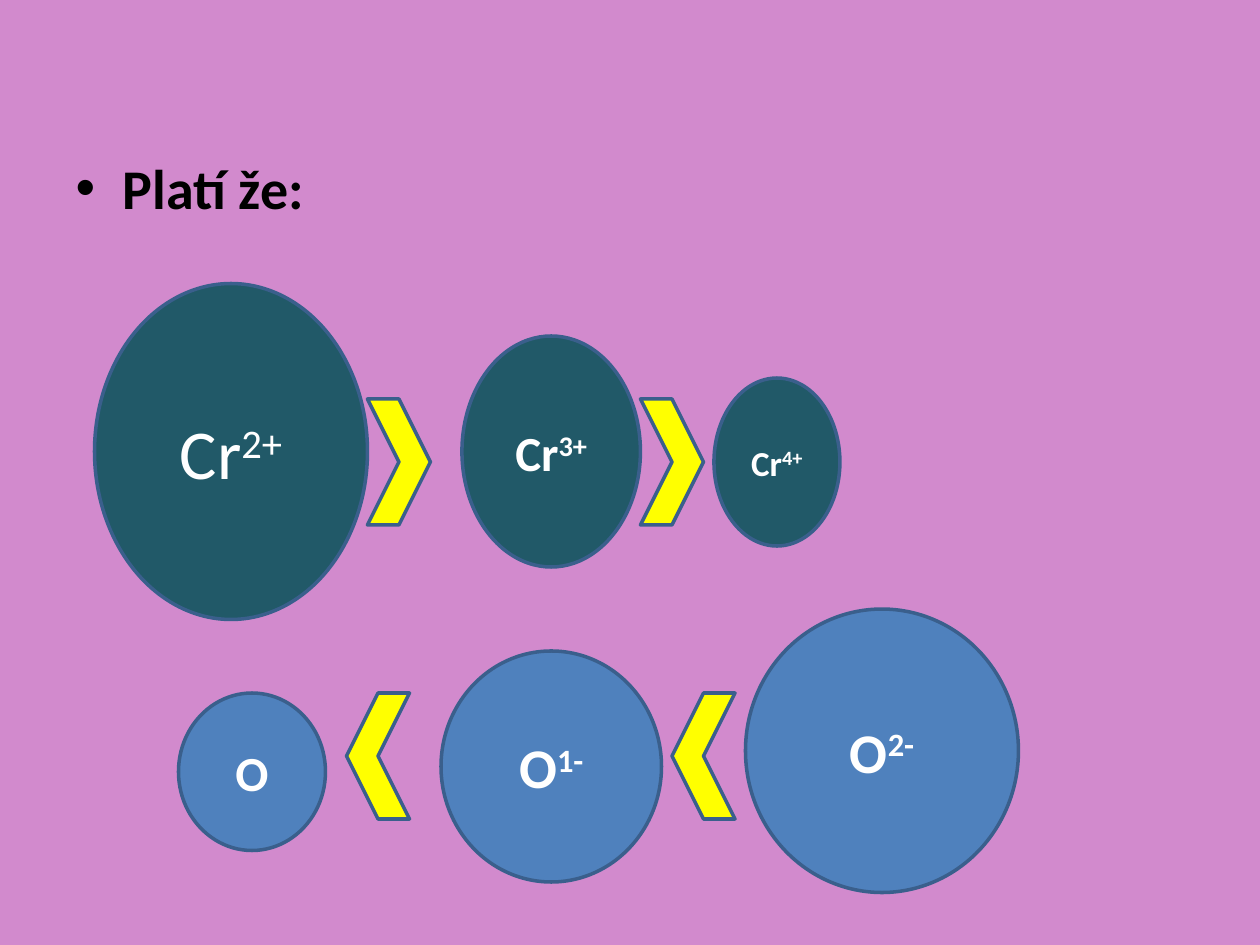
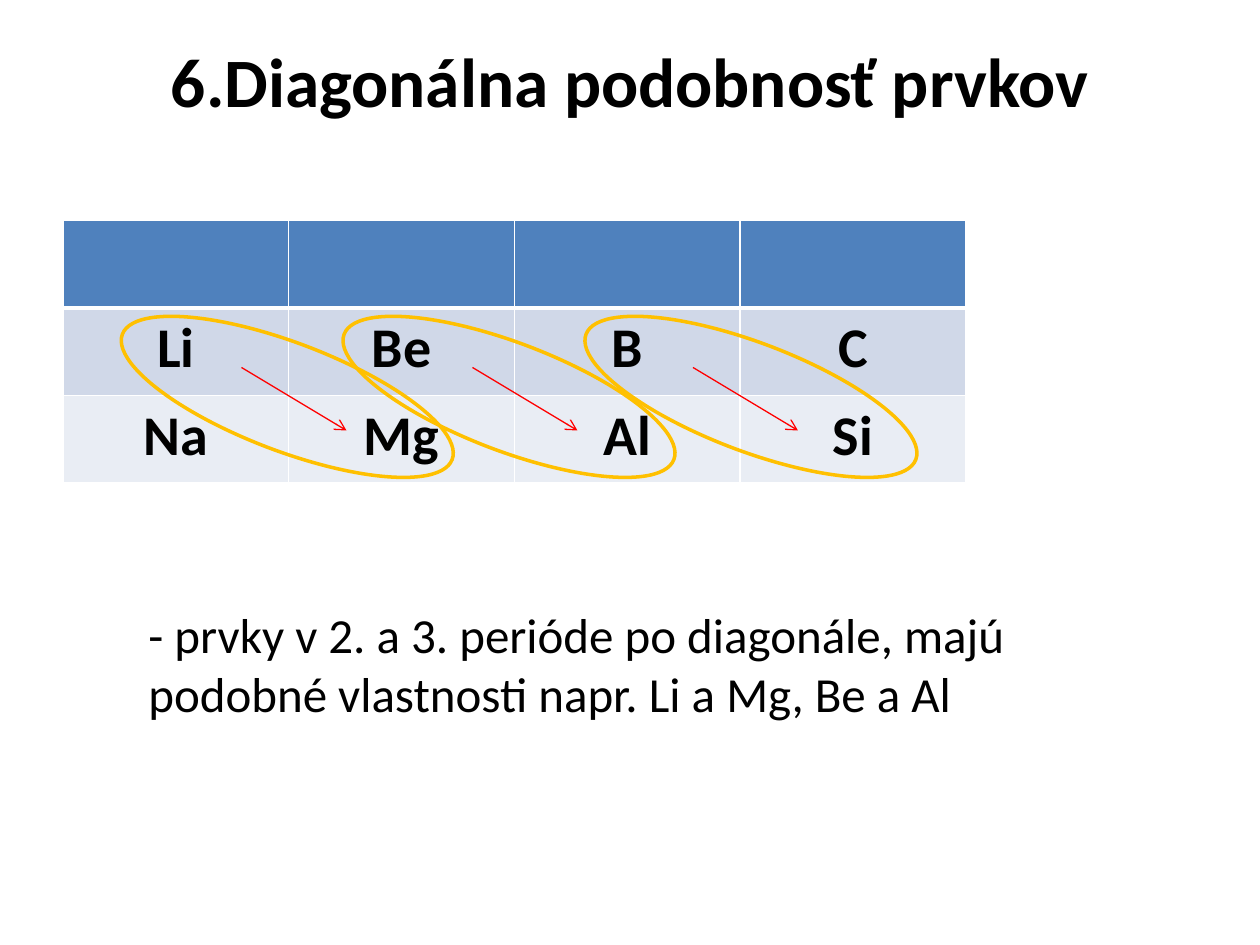
"""Build two chemistry slides: ion sizes and diagonal similarity of elements."""
from lxml.etree import SubElement
from pptx import Presentation
from pptx.dml.color import RGBColor
from pptx.enum.shapes import MSO_CONNECTOR, MSO_SHAPE
from pptx.enum.text import MSO_ANCHOR, PP_ALIGN
from pptx.oxml.ns import qn
from pptx.util import Inches, Pt

FONT = "Calibri"
BLACK, WHITE, PINK = "000000", "FFFFFF", "D28ACD"
TEAL, BLUE, OUTLINE = "215968", "4F81BD", "3A5F8C"
YELLOW, ORANGE, RED = "FFFF00", "FFC000", "FF0000"
UNIT = 1 / 12

CLAIM = "Platí že:"
IONS = [
    ("Cr", "2+", 40, False, TEAL, (9, 27, 26, 32)),
    ("Cr", "3+", 28, True, TEAL, (44, 32, 17, 22)),
    ("Cr", "4+", 20, True, TEAL, (68, 36, 12, 16)),
    ("O", "", 28, True, BLUE, (17, 66, 14, 15)),
    ("O", "1-", 32, True, BLUE, (42, 62, 21, 22)),
    ("O", "2-", 32, True, BLUE, (71, 58, 26, 27)),
]
CHEVRONS = [(35, 38, 0), (61, 38, 0), (33, 66, 180), (64, 66, 180)]

TITLE = "6.Diagonálna podobnosť prvkov"
ELEMENTS = [["", "", "", ""], ["Li", "Be", "B", "C"], ["Na", "Mg", "Al", "Si"]]
ROW_FILLS = [BLUE, "D0D8E8", "E9EDF4"]
ARROW_COLUMNS = [23, 45, 66]
LOOP_LEFTS = [0.88, 2.64, 4.56]
NOTE = "- prvky v 2. a 3. perióde po diagonále, majú podobné vlastnosti napr. Li a Mg, Be a Al"


def color(value):
    return RGBColor.from_string(value)


def grid(*cells):
    return [Inches(cell * UNIT) for cell in cells]


def place(shape, *lengths):
    shape.left, shape.top, shape.width, shape.height = map(Inches, lengths)


def write(frame, text, size=32, fill=BLACK, bold=False, align=None, superscript=""):
    para = frame.paragraphs[0]
    para.alignment = align
    for part in filter(None, (text, superscript)):
        span = para.add_run()
        span.text = part
        span.font.name, span.font.size, span.font.bold = FONT, Pt(size), bold
        span.font.color.rgb = color(fill)
        if part == superscript:
            span.font._element.set("baseline", "30000")


def add_shape(page, kind, lengths, fill=None, line=OUTLINE, rotation=0):
    shape = page.shapes.add_shape(kind, *lengths)
    shape.shadow.inherit = False
    shape.rotation = rotation
    if fill:
        shape.fill.solid()
        shape.fill.fore_color.rgb = color(fill)
    else:
        shape.fill.background()
    shape.line.color.rgb, shape.line.width = color(line), Pt(2)
    return shape


def add_arrow(page, column):
    arrow = page.shapes.add_connector(
        MSO_CONNECTOR.STRAIGHT, *grid(column, 35, column + 10, 41))
    arrow.line.color.rgb, arrow.line.width = color(RED), Pt(0.75)
    SubElement(arrow.line._get_or_add_ln(), qn("a:tailEnd"), type="arrow")
    SubElement(arrow._element.spPr, qn("a:effectLst"))


def style_cell(cell, fill, widths):
    properties = cell._tc.get_or_add_tcPr()
    for side, width in widths.items():
        border = SubElement(properties, qn(f"a:ln{side}"), w=str(Pt(width)))
        solid = SubElement(border, qn("a:solidFill"))
        SubElement(solid, qn("a:srgbClr"), val=WHITE)
    cell.fill.solid()
    cell.fill.fore_color.rgb = color(fill)


def add_page(deck, layout, background):
    page = deck.slides.add_slide(deck.slide_layouts.get_by_name(layout))
    page.background.fill.solid()
    page.background.fill.fore_color.rgb = color(background)
    return page


def build_ions(deck):
    page = add_page(deck, "Title and Content", PINK)
    title, body = page.placeholders
    title._element.getparent().remove(title._element)
    place(body, 0.5, 1.17, 9, 5.53)
    write(body.text_frame, CLAIM, bold=True)
    for symbol, charge, size, bold, fill, cells in IONS:
        ion = add_shape(page, MSO_SHAPE.OVAL, grid(*cells), fill)
        write(ion.text_frame, symbol, size=size, fill=WHITE, bold=bold,
              align=PP_ALIGN.CENTER, superscript=charge)
    for column, row, rotation in CHEVRONS:
        add_shape(page, MSO_SHAPE.CHEVRON, grid(column, row, 6, 12), YELLOW,
                  rotation=rotation)


def build_diagonal(deck):
    page = add_page(deck, "Title Only", WHITE)
    title = page.shapes.title
    place(title, 0.5, 0.3, 9, 1.25)
    title.text_frame.vertical_anchor = MSO_ANCHOR.TOP
    title.text_frame.margin_top = 0
    write(title.text_frame, TITLE, size=39.6, bold=True, align=PP_ALIGN.CENTER)

    table = page.shapes.add_table(
        len(ELEMENTS), len(ELEMENTS[0]), *grid(6, 21, 86, 25)).table
    for row, (symbols, fill) in enumerate(zip(ELEMENTS, ROW_FILLS)):
        widths = {"L": 1, "R": 1, "T": 3 if row == 1 else 1, "B": 3 if row == 0 else 1}
        for column, symbol in enumerate(symbols):
            cell = table.cell(row, column)
            style_cell(cell, fill, widths)
            write(cell.text_frame, symbol, bold=True, align=PP_ALIGN.CENTER)

    for column in ARROW_COLUMNS:
        add_arrow(page, column)
    for left in LOOP_LEFTS:
        add_shape(page, MSO_SHAPE.OVAL, map(Inches, (left, 2.72, 2.8, 0.86)),
                  line=ORANGE, rotation=20.8)
    box = page.shapes.add_textbox(*map(Inches, (1.08, 4.75, 8.08, 1.04)))
    box.text_frame.word_wrap = True
    write(box.text_frame, NOTE, size=28)


def main():
    deck = Presentation()
    deck.slide_width, deck.slide_height = Inches(10), Inches(7.5)
    build_ions(deck)
    build_diagonal(deck)
    deck.save("out.pptx")


if __name__ == "__main__":
    main()
